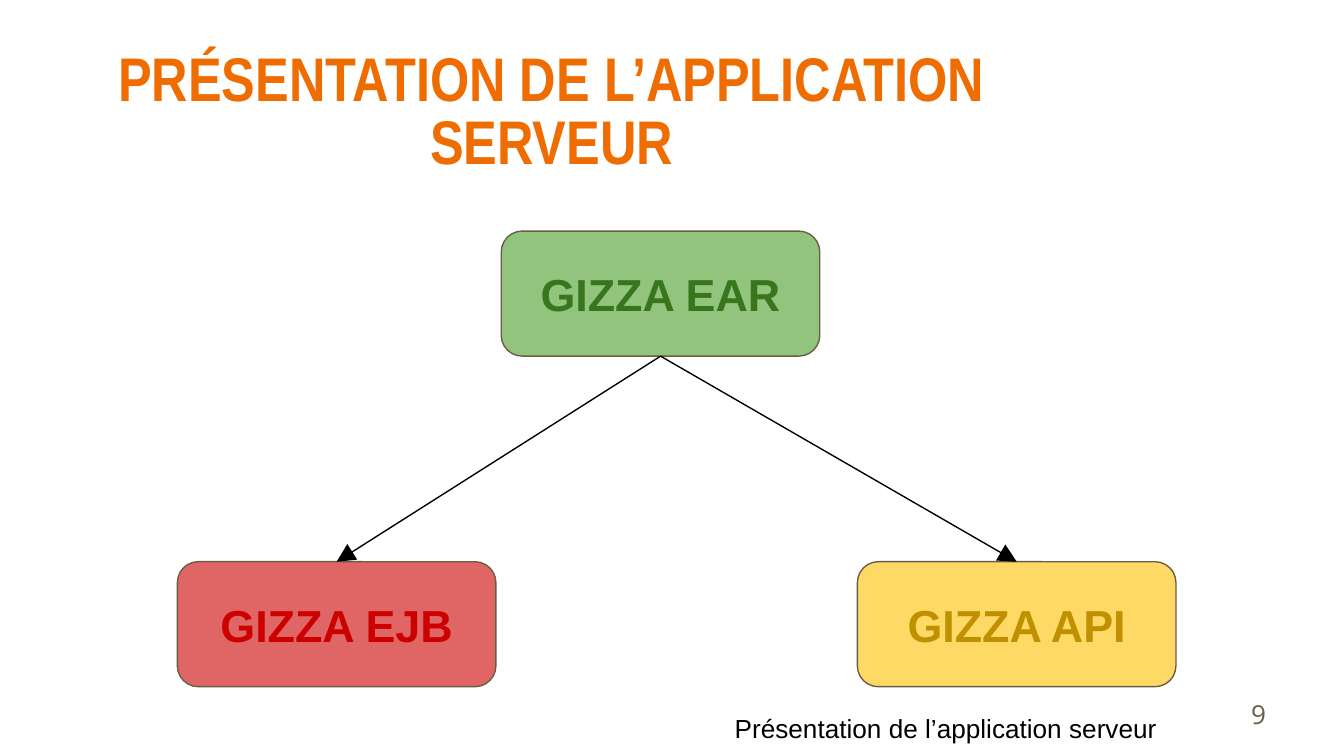
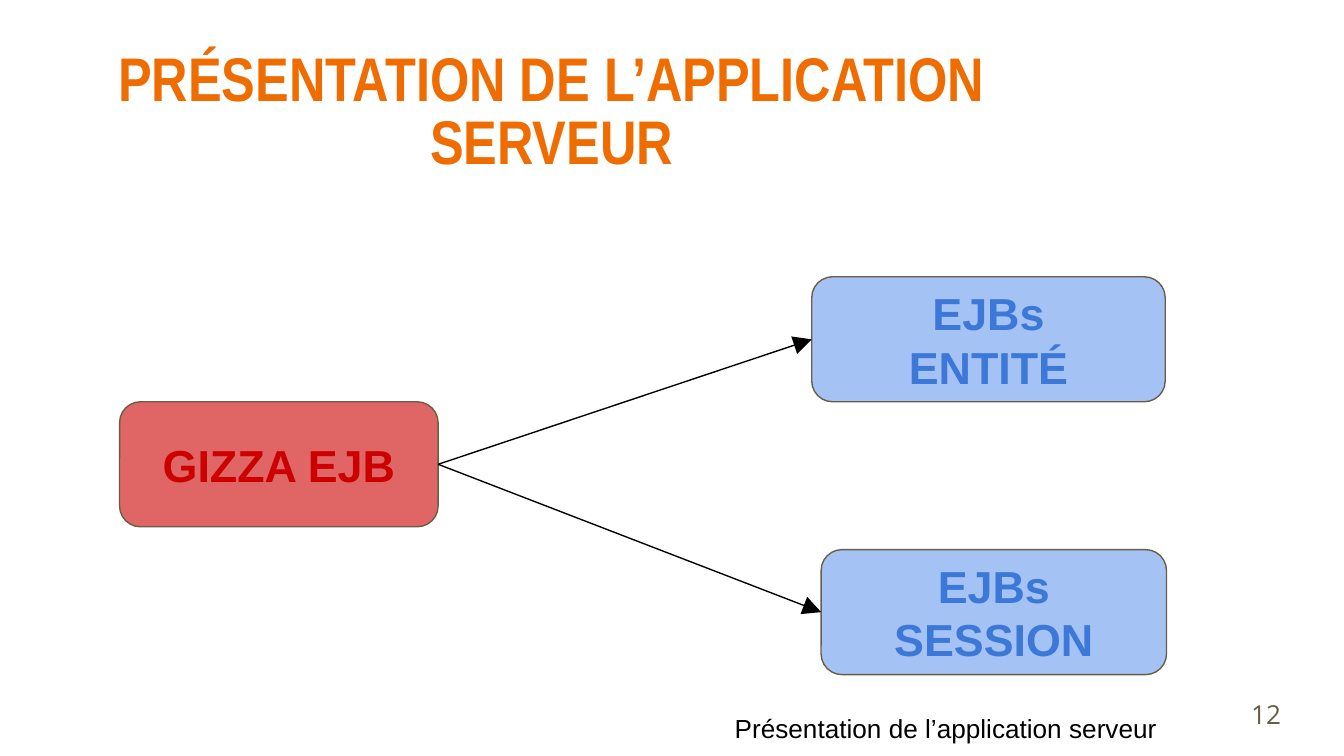
import pptx
import pptx.util
import pptx.dml.color
import pptx.enum.shapes
import pptx.enum.text
import pptx.oxml.ns
import lxml.etree

Inches = pptx.util.Inches
Pt = pptx.util.Pt
ALIGN = pptx.enum.text.PP_ALIGN

# Shared wording and style
TITLE = "PRÉSENTATION DE L’APPLICATION SERVEUR"
FOOTER = "Présentation de l’application serveur"
ORANGE, BROWN, BLACK = "EF6C00", "695D46", "000000"
GREEN = ("93C47D", "38761D")
RED = ("E06666", "CC0000")
YELLOW = ("FFD966", "BF9000")
BLUE = ("A4C2F4", "3C78D8")
BOX_H = 0.93
TEXT_INSETS = (0.07, 0.04, 0.07, 0.04)

# Connection sites of a rounded rectangle
TOP, LEFT, BOTTOM, RIGHT = range(4)

# Boxes: text, left, top, width, (fill, text colour); the first is the parent
SLIDES = [
    {
        "number": "9",
        "boxes": [
            ("GIZZA EAR", 3.73, 1.72, 2.37, GREEN),
            ("GIZZA EJB", 1.32, 4.18, 2.37, RED),
            ("GIZZA API", 6.38, 4.18, 2.37, YELLOW),
        ],
        "sites": (BOTTOM, TOP),
    },
    {
        "number": "12",
        "boxes": [
            ("GIZZA EJB", 0.89, 2.99, 2.37, RED),
            ("EJBs\nENTITÉ", 6.04, 2.06, 2.63, BLUE),
            ("EJBs SESSION", 6.11, 4.09, 2.57, BLUE),
        ],
        "sites": (RIGHT, LEFT),
    },
]


def rgb(color):
    return pptx.dml.color.RGBColor.from_string(color)


def place(sp, left, top, width, height):
    sp.left, sp.top = Inches(left), Inches(top)
    sp.width, sp.height = Inches(width), Inches(height)


def write(sp, text, size, font, color, align, insets, bold=False):
    tf = sp.text_frame
    tf.text = text
    tf.word_wrap = True
    tf.auto_size = pptx.enum.text.MSO_AUTO_SIZE.NONE
    tf.vertical_anchor = pptx.enum.text.MSO_ANCHOR.MIDDLE
    tf.margin_left, tf.margin_top, tf.margin_right, tf.margin_bottom = map(Inches, insets)
    for p in tf.paragraphs:
        p.alignment = align
        for r in p.runs:
            r.font.size = Pt(size)
            r.font.name = font
            r.font.bold = bold
            r.font.color.rgb = rgb(color)


def add_frame(s, number):
    # Title
    sp = s.shapes.title
    place(sp, 0.74, 0.23, 6.73, 1.24)
    write(sp, TITLE, 33, "Arial Narrow", ORANGE, ALIGN.CENTER, TEXT_INSETS, bold=True)
    sp.text_frame.paragraphs[0].line_spacing = 0.85

    # Footer and slide number
    sp = s.shapes.add_textbox(Inches(4.54), Inches(5.27), Inches(4.14), Inches(0.3))
    write(sp, FOOTER, 14, "Arial", BLACK, ALIGN.RIGHT, TEXT_INSETS)
    sp = s.shapes.add_textbox(Inches(9.27), Inches(5.1), Inches(0.6), Inches(0.43))
    write(sp, number, 14, "Open Sans", BROWN, ALIGN.LEFT, (0.04, 0.04, 0.07, 0.04))


def add_box(s, text, left, top, width, colors):
    fill, ink = colors
    sp = s.shapes.add_shape(
        pptx.enum.shapes.MSO_SHAPE.ROUNDED_RECTANGLE,
        Inches(left), Inches(top), Inches(width), Inches(BOX_H))
    sp.shadow.inherit = False
    sp.fill.solid()
    sp.fill.fore_color.rgb = rgb(fill)
    sp.line.color.rgb = rgb(BROWN)
    sp.line.width = Pt(0.75)
    write(sp, text, 24, "Arial", ink, ALIGN.CENTER, (0.1,) * 4, bold=True)
    return sp


def add_arrow(s, parent, child, sites):
    cx = s.shapes.add_connector(pptx.enum.shapes.MSO_CONNECTOR.STRAIGHT, 0, 0, 0, 0)
    cx.begin_connect(parent, sites[0])
    cx.end_connect(child, sites[1])
    cx.line.color.rgb = rgb(BLACK)
    cx.line.width = Pt(0.75)
    # Large arrowhead, no shadow
    qn = pptx.oxml.ns.qn
    ln = next(cx.element.iter(qn("a:ln")))
    lxml.etree.SubElement(ln, qn("a:tailEnd"), type="triangle", w="lg", len="lg")
    lxml.etree.SubElement(ln.getparent(), qn("a:effectLst"))


def main():
    prs = pptx.Presentation()
    prs.slide_width = Inches(10)
    prs.slide_height = prs.slide_width * 9 // 16
    title_only = prs.slide_layouts[5]
    for content in SLIDES:
        s = prs.slides.add_slide(title_only)
        add_frame(s, content["number"])
        parent, *children = [add_box(s, *box) for box in content["boxes"]]
        for child in children:
            add_arrow(s, parent, child, content["sites"])
    prs.save("out.pptx")


if __name__ == "__main__":
    main()
